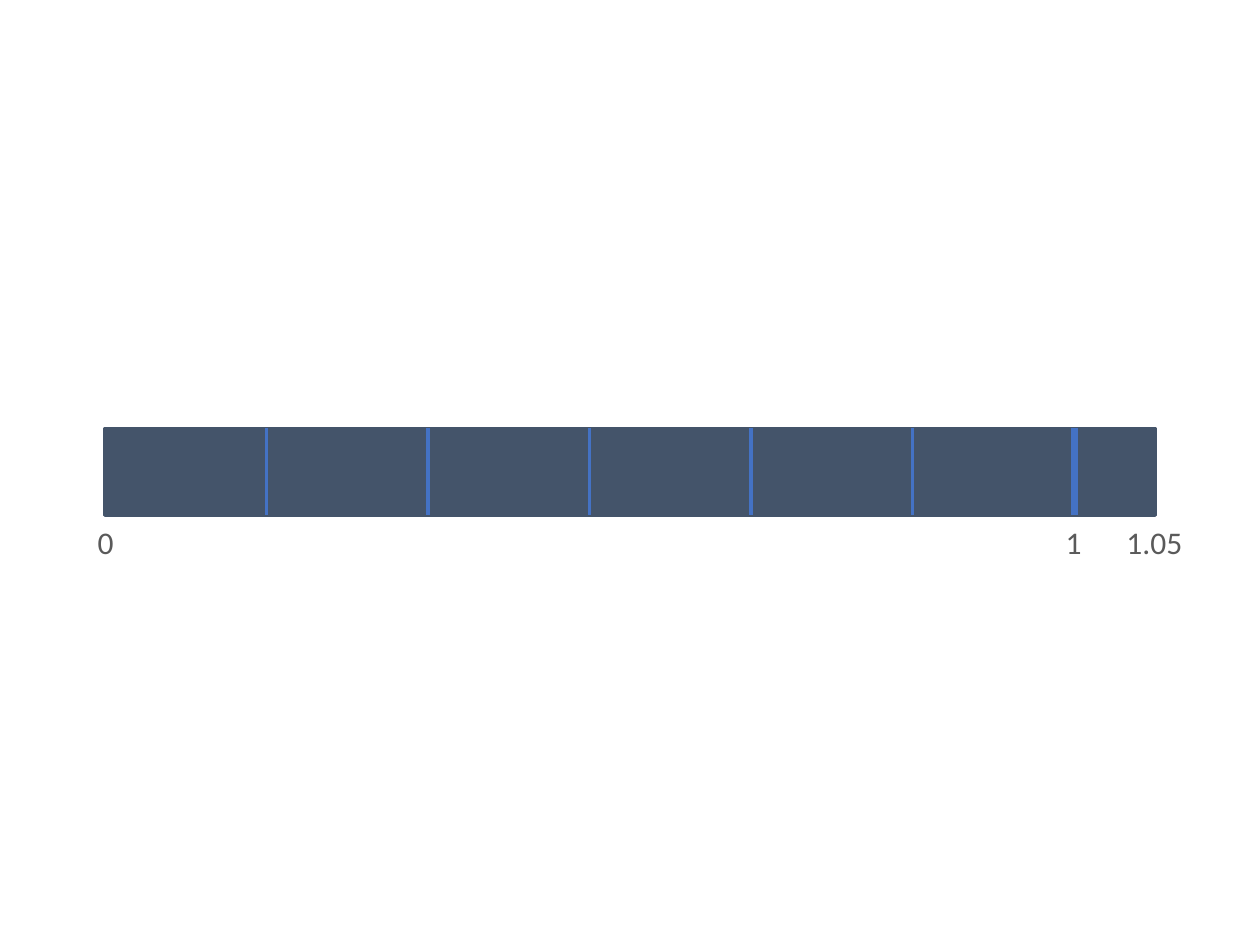
from pptx import Presentation
from pptx.util import Inches, Pt
from pptx.dml.color import RGBColor
from pptx.enum.shapes import MSO_CONNECTOR, MSO_SHAPE
from pptx.enum.text import MSO_ANCHOR, PP_ALIGN
from pptx.oxml.ns import qn
from lxml import etree

RECT = MSO_SHAPE.RECTANGLE
LINE = MSO_CONNECTOR.STRAIGHT
MIDDLE = MSO_ANCHOR.MIDDLE
CENTER = PP_ALIGN.CENTER

SLATE = RGBColor(0x44, 0x54, 0x6A)
BLUE = RGBColor(0x44, 0x72, 0xC4)
GRAY = RGBColor(0x5A, 0x5A, 0x5A)

FONT = "Calibri"
WIDE, HIGH = Inches(10), Inches(7.5)
STEPS = 6.5  # ticks split the bar into six full steps and a half one
TICKS = 6
LABELS = [("0", 0), ("1", TICKS), ("1.05", STEPS)]


def add_bar(group, left, top, width, height):
    bar = group.shapes.add_shape(RECT, left, top, width, height)
    bar.shadow.inherit = False
    bar.fill.solid()
    bar.fill.fore_color.rgb = SLATE
    bar.line.color.rgb = SLATE
    bar.line.width = Pt(2)


def add_ticks(group, left, top, width, height):
    for step in range(1, TICKS + 1):
        x = left + int(width * step / STEPS)
        tick = group.shapes.add_connector(LINE, x, top, x, top + height)
        tick.line.color.rgb = BLUE
        tick.line.width = Pt(4 if step == TICKS else 2)
        etree.SubElement(tick._element.spPr, qn("a:effectLst"))


def add_labels(group, left, top, width, height):
    # Thin plain boxes without wrap keep each text centred on its mark
    thin = Inches(0.01)
    for text, step in LABELS:
        x = left + int((width - thin) * step / STEPS)
        label = group.shapes.add_shape(RECT, x, top, thin, height)
        label.shadow.inherit = False
        label.fill.background()
        label.line.fill.background()
        frame = label.text_frame
        frame.margin_left = frame.margin_right = 0
        frame.margin_top = frame.margin_bottom = 0
        frame.word_wrap = False
        frame.vertical_anchor = MIDDLE
        para = frame.paragraphs[0]
        para.alignment = CENTER
        run = para.add_run()
        run.text = text
        run.font.name = FONT
        run.font.size = Pt(18)
        run.font.color.rgb = GRAY


def add_scale(slide, left, top, width, height):
    shapes = slide.shapes
    add_bar(shapes.add_group_shape(), left, top, width, height)
    add_ticks(shapes.add_group_shape(), left, top, width, height)
    add_labels(shapes.add_group_shape(), left, top + height,
               width, int(height * 0.6))


def main():
    deck = Presentation()
    deck.slide_width, deck.slide_height = WIDE, HIGH
    slide = deck.slides.add_slide(deck.slide_layouts[6])
    # Bar spans ten twelfths of the slide, with equal side margins
    add_scale(slide, WIDE // 12, Inches(3.4), WIDE * 10 // 12, Inches(0.69))
    deck.save("out.pptx")


if __name__ == "__main__":
    main()
